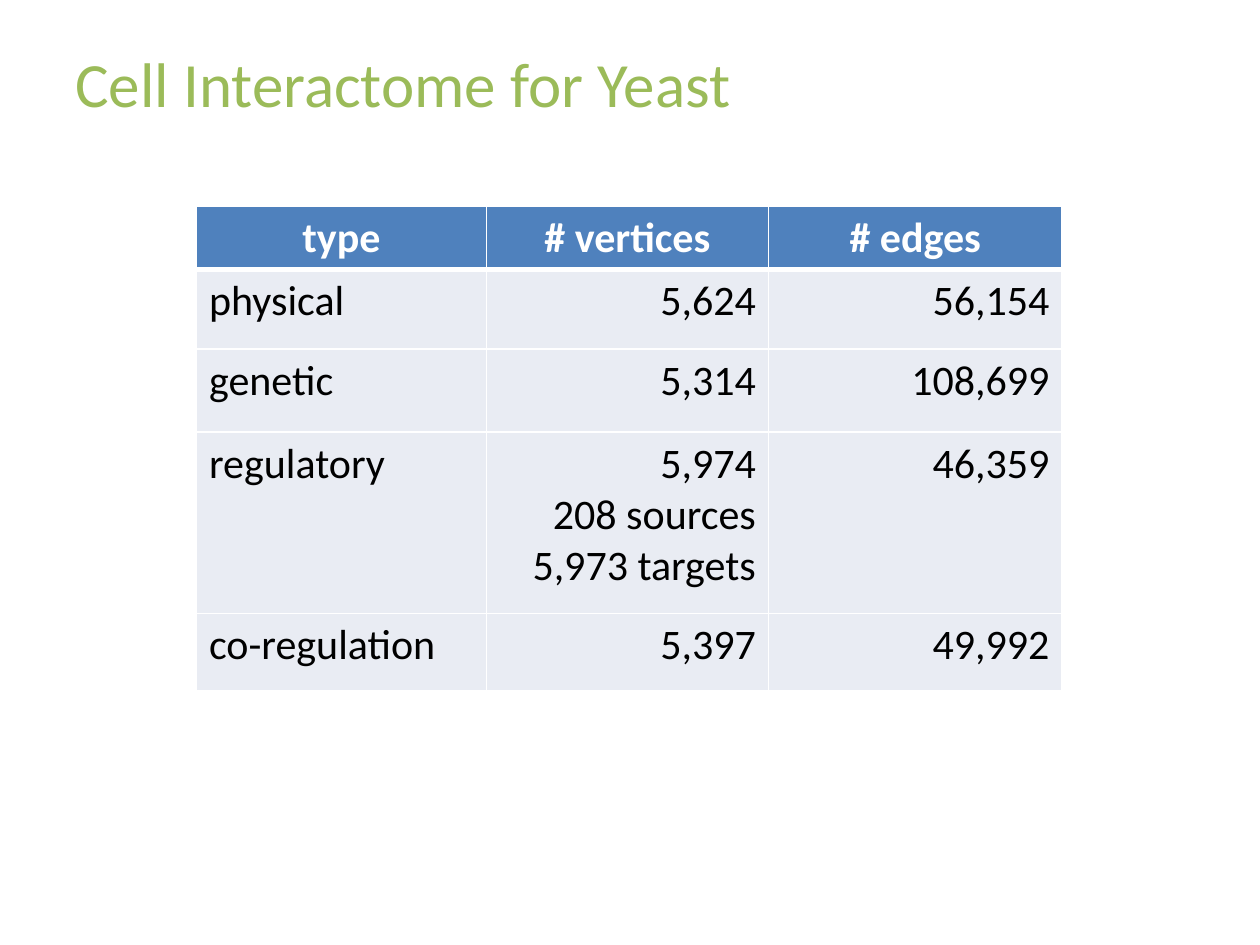
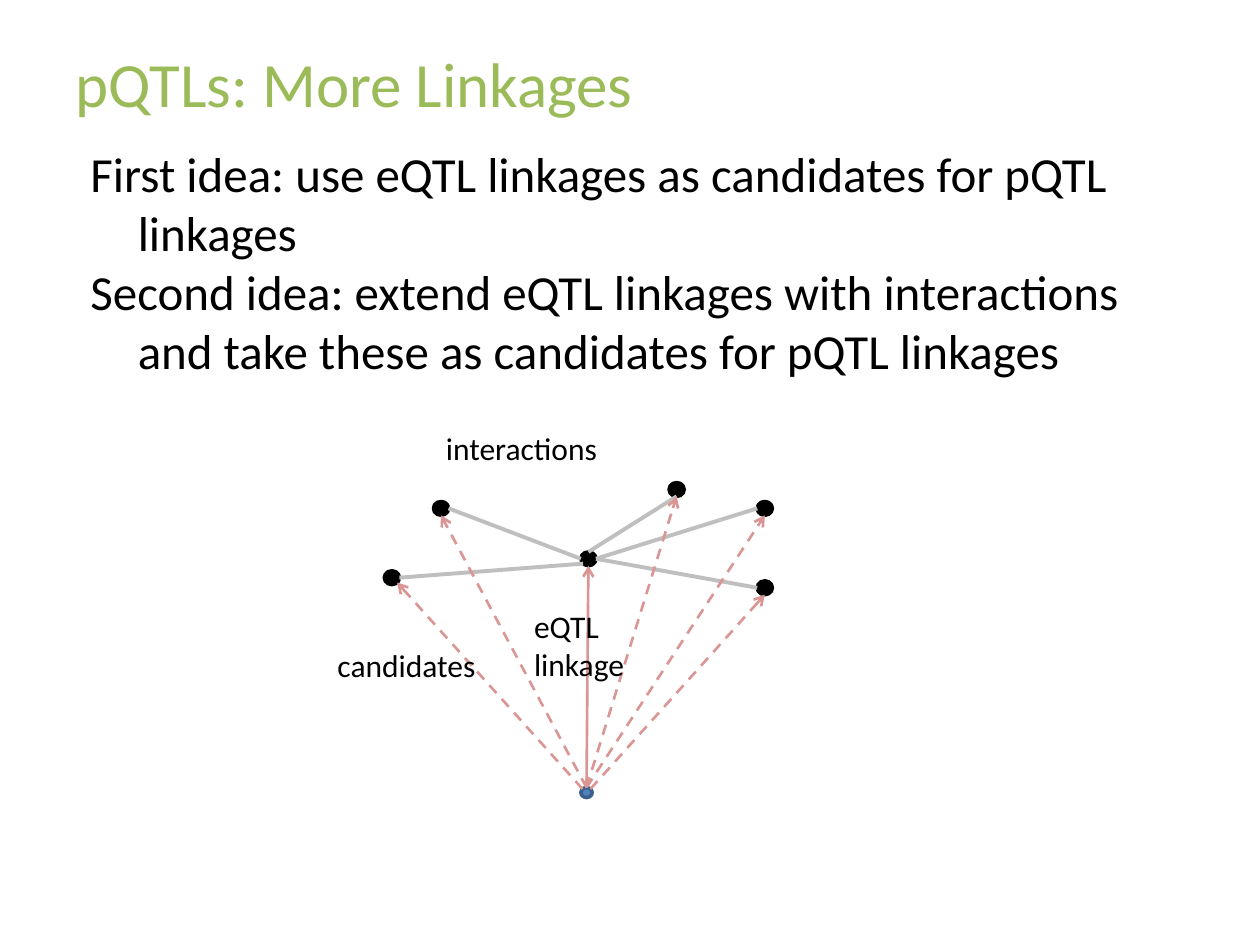
import pptx
import pptx.util
import pptx.dml.color
import pptx.enum.dml
import pptx.enum.shapes
import pptx.enum.text
import pptx.oxml
import pptx.oxml.ns

# The grid: 100 columns by 75 rows on each slide
COLS, ROWS = 100, 75
UNIT = pptx.util.Inches(10) // COLS

FONT = "Calibri"
INK, PAPER, GREEN = "000000", "FFFFFF", "9BBB59"
BLUE, NAVY, PALE = "4F81BD", "3A5F8B", "E9ECF3"
GREY, ROSE = "BFBFBF", "D99694"

ALIGN = pptx.enum.text.PP_ALIGN
ANCHOR = pptx.enum.text.MSO_ANCHOR
TITLE = {"size": 36, "color": GREEN}
BODY = {"size": 28, "color": INK}
LABEL = {"size": 18, "color": INK}
HEAD = {"size": 24, "color": PAPER, "bold": True}
CELL = {"size": 24, "color": INK, "bold": False}

# Compass points on the rim of a dot, as shares of its half size
PORTS = {"N": (0, -1), "S": (0, 1), "E": (1, 0), "W": (-1, 0),
         "NE": (.7, -.7), "NW": (-.7, -.7), "SE": (.7, .7), "SW": (-.7, .7)}


def grid(*spans):
    return [round(span * UNIT) for span in spans]


def hue(code):
    return pptx.dml.color.RGBColor.from_string(code)


def paint(fill, code):
    fill.solid()
    fill.fore_color.rgb = hue(code)


def style(font, look):
    values = {"name": FONT, **look, "size": pptx.util.Pt(look["size"])}
    font.color.rgb = hue(values.pop("color"))
    for key, value in values.items():
        setattr(font, key, value)


def write(frame, lines, look, align=ALIGN.LEFT, hang=0):
    for i, line in enumerate(lines):
        para = frame.add_paragraph() if i else frame.paragraphs[0]
        para.alignment = align
        if hang:
            props = para._p.get_or_add_pPr()
            props.set("marL", str(grid(hang)[0]))
            props.set("indent", str(-grid(hang)[0]))
        run = para.add_run()
        run.text = line
        style(run.font, look)


def text(slide, area, lines, look, anchor=ANCHOR.TOP, hang=0):
    frame = slide.shapes.add_textbox(*grid(*area)).text_frame
    frame.word_wrap = True
    frame.vertical_anchor = anchor
    write(frame, lines, look, hang=hang)


def page(deck, title):
    slide = deck.slides.add_slide(deck.slide_layouts[6])
    text(slide, (5, 3, 90, 7.1), [title], TITLE, ANCHOR.MIDDLE)
    return slide


# Table parts
def border(cell, side, width):
    cell._tc.get_or_add_tcPr().append(pptx.oxml.parse_xml(
        f'<a:{side} {pptx.oxml.ns.nsdecls("a")} w="{pptx.util.Pt(width)}">'
        f'<a:solidFill><a:srgbClr val="{PAPER}"/></a:solidFill></a:{side}>'))


def table(slide, corner, wides, highs, rows):
    area = grid(*corner, sum(wides), sum(highs))
    chart = slide.shapes.add_table(len(rows), len(wides), *area).table
    for col, wide in zip(chart.columns, wides):
        col.width = grid(wide)[0]
    for r, (high, row) in enumerate(zip(highs, rows)):
        chart.rows[r].height = grid(high)[0]
        for c, lines in enumerate(row):
            cell = chart.cell(r, c)
            for side in ("lnL", "lnR", "lnT", "lnB"):
                thick = (r, side) in ((0, "lnB"), (1, "lnT"))
                border(cell, side, 3 if thick else 0.96)
            paint(cell.fill, PALE if r else BLUE)
            align = ALIGN.CENTER if r == 0 else ALIGN.RIGHT if c else ALIGN.LEFT
            write(cell.text_frame, lines.split("\n"), CELL if r else HEAD, align)


# Network parts
def dot(slide, mid, size, fill=INK, edge=INK):
    (x, y), (w, h) = mid, size
    shape = slide.shapes.add_shape(pptx.enum.shapes.MSO_SHAPE.OVAL,
                                   *grid(x - w / 2, y - h / 2, w, h))
    shape.shadow.inherit = False
    paint(shape.fill, fill)
    shape.line.color.rgb = hue(edge)
    shape.line.width = pptx.util.Pt(2)


def rim(mid, size, port):
    return [m + s / 2 * p for m, s, p in zip(mid, size, PORTS[port])]


def link(slide, start, end, code, width, dash=False, arrow=False):
    line = slide.shapes.add_connector(pptx.enum.shapes.MSO_CONNECTOR.STRAIGHT,
                                      *grid(*start, *end))
    line.line.color.rgb = hue(code)
    line.line.width = pptx.util.Pt(width)
    if dash:
        line.line.dash_style = pptx.enum.dml.MSO_LINE.DASH
    props = line._element.spPr
    if arrow:
        tip = pptx.oxml.ns.qn("a:tailEnd")
        line.line._get_or_add_ln().append(
            props.makeelement(tip, {"type": "arrow"}))
    props.append(props.makeelement(pptx.oxml.ns.qn("a:effectLst"), {}))


def net(slide):
    big, small = (1.2, 1.1), (.9, .8)
    hub, locus = (46.7, 44.35), (46.55, 62.9)
    # Gene centre; ports of its edge at hub and gene; ports of its arrow
    genes = [((60.7, 40.35), "E", "W", "N", "S"),
             ((53.7, 38.85), "N", "S", "N", "S"),
             ((60.7, 46.65), "E", "W", "NE", "S"),
             ((35, 40.35), "W", "E", "N", "S"),
             ((31.1, 45.85), "SW", "E", "NW", "SE")]
    dot(slide, hub, big)
    dot(slide, locus, small, BLUE, NAVY)
    for gene, *_ in genes:
        dot(slide, gene, big)
    for gene, near, far, *_ in genes:
        link(slide, rim(hub, big, near), rim(gene, big, far), GREY, 2.25)
    link(slide, rim(locus, small, "N"), rim(hub, big, "S"), ROSE, 1.5, arrow=True)
    for gene, _, _, near, far in genes:
        link(slide, rim(locus, small, near), rim(gene, big, far),
             ROSE, 1.5, dash=True, arrow=True)


def main():
    deck = pptx.Presentation()
    deck.slide_width, deck.slide_height = grid(COLS, ROWS)

    # Network sizes
    slide = page(deck, "Cell Interactome for Yeast")
    table(slide, (15.6, 16.4), (23, 22.4, 23.3), (5, 6.3, 6.6, 14.4, 6.1), [
        ("type", "# vertices", "# edges"),
        ("physical", "5,624", "56,154"),
        ("genetic", "5,314", "108,699"),
        ("regulatory", "5,974\n208 sources\n5,973 targets", "46,359"),
        ("co-regulation", "5,397", "49,992")])

    # Linkage candidates
    slide = page(deck, "pQTLs: More Linkages")
    text(slide, (6.2, 10.9, 88.3, 58.6), [
        "First idea: use eQTL linkages as candidates for pQTL linkages",
        "Second idea: extend eQTL linkages with interactions and take these"
        " as candidates for pQTL linkages"], BODY, hang=3.75)
    net(slide)
    for area, label in [((41.4, 47.7, 10.1, 7), "eQTL linkage"),
                        ((34.4, 33.6, 14.8, 4), "interactions"),
                        ((25.8, 50.8, 14.1, 4), "candidates")]:
        text(slide, area, [label], LABEL)

    deck.save("out.pptx")


if __name__ == "__main__":
    main()
